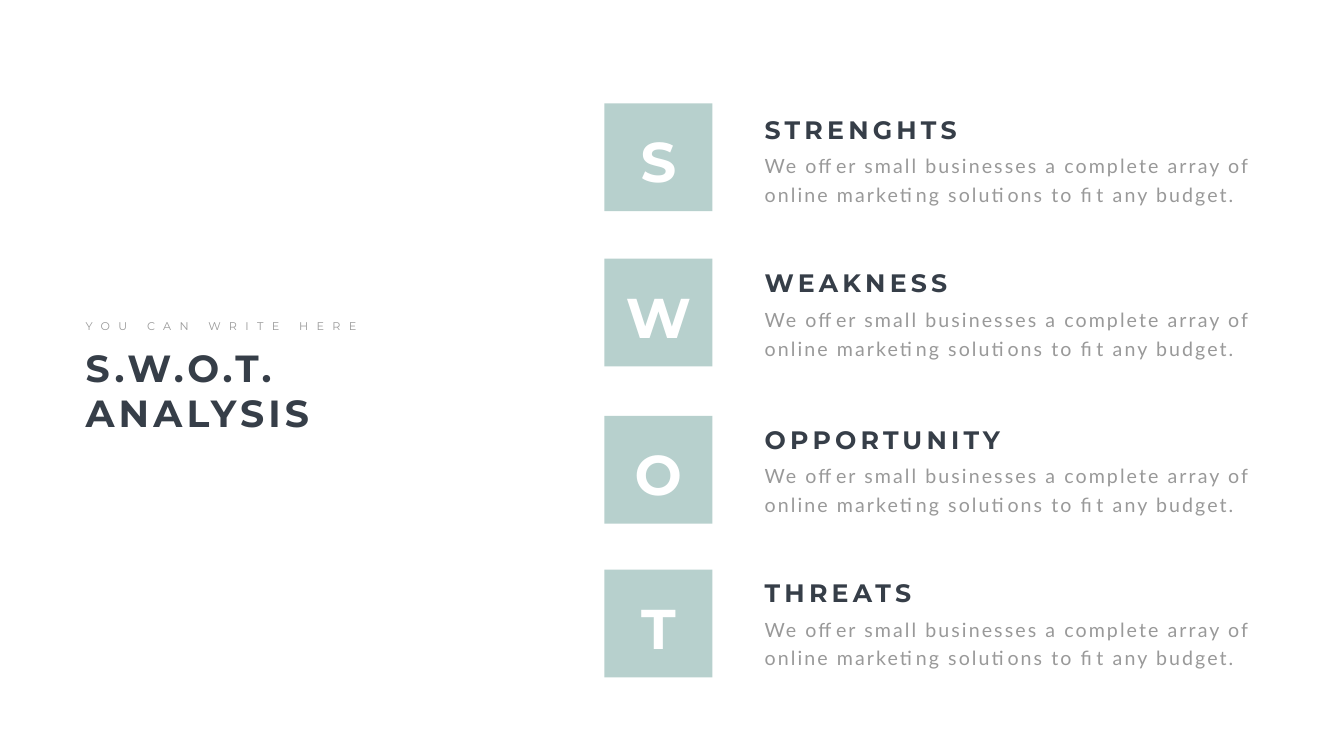
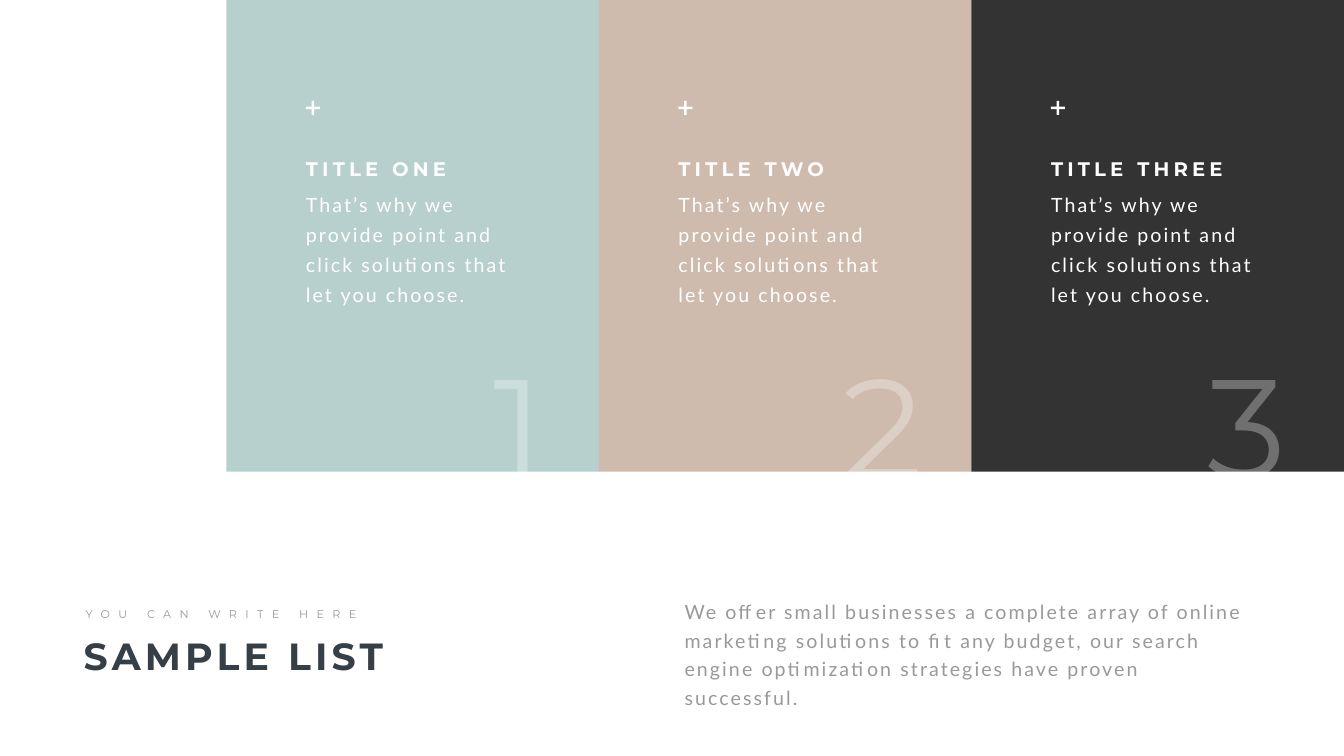
from lxml.etree import SubElement
from pptx import Presentation
from pptx.dml.color import RGBColor
from pptx.enum.shapes import MSO_SHAPE as Shape
from pptx.enum.text import MSO_AUTO_SIZE as AutoSize, PP_ALIGN as Align
from pptx.oxml.ns import qn
from pptx.util import Emu, Pt

PX = 9144
WIDTH, HEIGHT = 2666, 1500
SAGE, SAND, CHARCOAL = "B7D0CD", "CEBBAD", "323332"
NAVY, GREY, WHITE = "363E48", "999999", "FFFFFF"
HEADING_FONT, BODY_FONT = "Montserrat", "Lato"

OFFER = "We offer small businesses a complete array of online marketing solutions to fit any budget"
SWOT = [
    ("STRENGHTS", 205, 221),
    ("WEAKNESS", 513, 526),
    ("OPPORTUNITY", 825, 836),
    ("THREATS", 1130, 1141),
]
PANELS = [("TITLE ONE", SAGE), ("TITLE TWO", SAND), ("TITLE THREE", CHARCOAL)]
PANEL_WIDTH, PANEL_HEIGHT = 739, 936


def rgb(color):
    return RGBColor.from_string(color)


def box(left, top, width, height):
    return [Emu(length * PX) for length in (left, top, width, height)]


def add_block(slide, area, color, rotation=0):
    block = slide.shapes.add_shape(Shape.RECTANGLE, *box(*area))
    block.shadow.inherit = False
    block.fill.solid()
    block.fill.fore_color.rgb = rgb(color)
    block.line.fill.background()
    block.rotation = rotation


def add_text(slide, area, text, size, color, font=HEADING_FONT, bold=False,
             spacing=0, align=None, line_height=None, wrap=True, opacity=None):
    frame = slide.shapes.add_textbox(*box(*area)).text_frame
    frame.word_wrap = wrap
    frame.auto_size = AutoSize.SHAPE_TO_FIT_TEXT
    frame.text = text
    paragraph = frame.paragraphs[0]
    paragraph.alignment = align
    if line_height:
        paragraph.line_spacing = Pt(line_height)
    run = paragraph.runs[0]
    run.font.size = Pt(size)
    run.font.name = font
    run.font.bold = bold
    run.font.color.rgb = rgb(color)
    properties = run._r.get_or_add_rPr()
    if spacing:
        properties.set("spc", str(spacing * 100))
    if opacity:
        fill_color = properties.find(".//" + qn("a:srgbClr"))
        SubElement(fill_color, qn("a:alpha"), val=str(opacity * 1000))


def add_heading(slide, area, text, size, color=NAVY):
    add_text(slide, area, text, size, color, bold=True, spacing=6)


def add_body(slide, area, text, color=GREY, line_height=40.8):
    add_text(slide, area, text, 28, color, BODY_FONT, spacing=3, line_height=line_height)


def add_slide_title(slide, top, title, title_area):
    add_heading(slide, title_area, title, 54)
    add_text(slide, (160, top, 578, 37), "YOU CAN WRITE HERE", 16, GREY,
             spacing=12, wrap=False)


def add_swot_row(slide, left, top, heading_top, heading):
    add_block(slide, (left, top, 214, 214), SAGE)
    add_text(slide, (left - 16, top + 42, 246, 145), heading[0], 80, WHITE,
             bold=True, align=Align.CENTER)
    add_body(slide, (left + 308, heading_top + 70, 1022, 119), OFFER + ".")
    add_heading(slide, (left + 308, heading_top, 675, 71), heading, 36)


def add_panel(slide, left, heading, color):
    add_block(slide, (left, 0, PANEL_WIDTH, PANEL_HEIGHT), color)
    add_body(slide, (left + 148, 364, 421, 246),
             "That’s why we provide point and click solutions that let you choose.", WHITE, 43)
    add_heading(slide, (left + 148, 306, 441, 57), heading, 28, WHITE)
    for rotation in (0, 90):
        add_block(slide, (left + 169, 200, 5, 28), WHITE, rotation)


def add_panel_number(slide, left, number):
    add_text(slide, (left, 667, 327, 347), str(number), 200, WHITE,
             spacing=6, align=Align.CENTER, opacity=30)


def build_swot(slide):
    add_slide_title(slide, 629, "S.W.O.T. ANALYSIS", (160, 679, 709, 192))
    for heading, top, heading_top in SWOT:
        add_swot_row(slide, 1199, top, heading_top, heading)


def build_list(slide):
    add_slide_title(slide, 1201, "SAMPLE LIST", (156, 1251, 950, 101))
    add_body(slide, (1348, 1176, 1159, 177),
             OFFER + ", our search engine optimization strategies have proven successful.")
    first_left = WIDTH - PANEL_WIDTH * len(PANELS)
    for index, (heading, color) in enumerate(PANELS):
        add_panel(slide, first_left + index * PANEL_WIDTH, heading, color)
    for index in range(len(PANELS)):
        add_panel_number(slide, 866 + index * 722, index + 1)


def main():
    deck = Presentation()
    deck.slide_width, deck.slide_height = Emu(WIDTH * PX), Emu(HEIGHT * PX)
    for build in (build_swot, build_list):
        build(deck.slides.add_slide(deck.slide_layouts[6]))
    deck.save("out.pptx")


if __name__ == "__main__":
    main()
